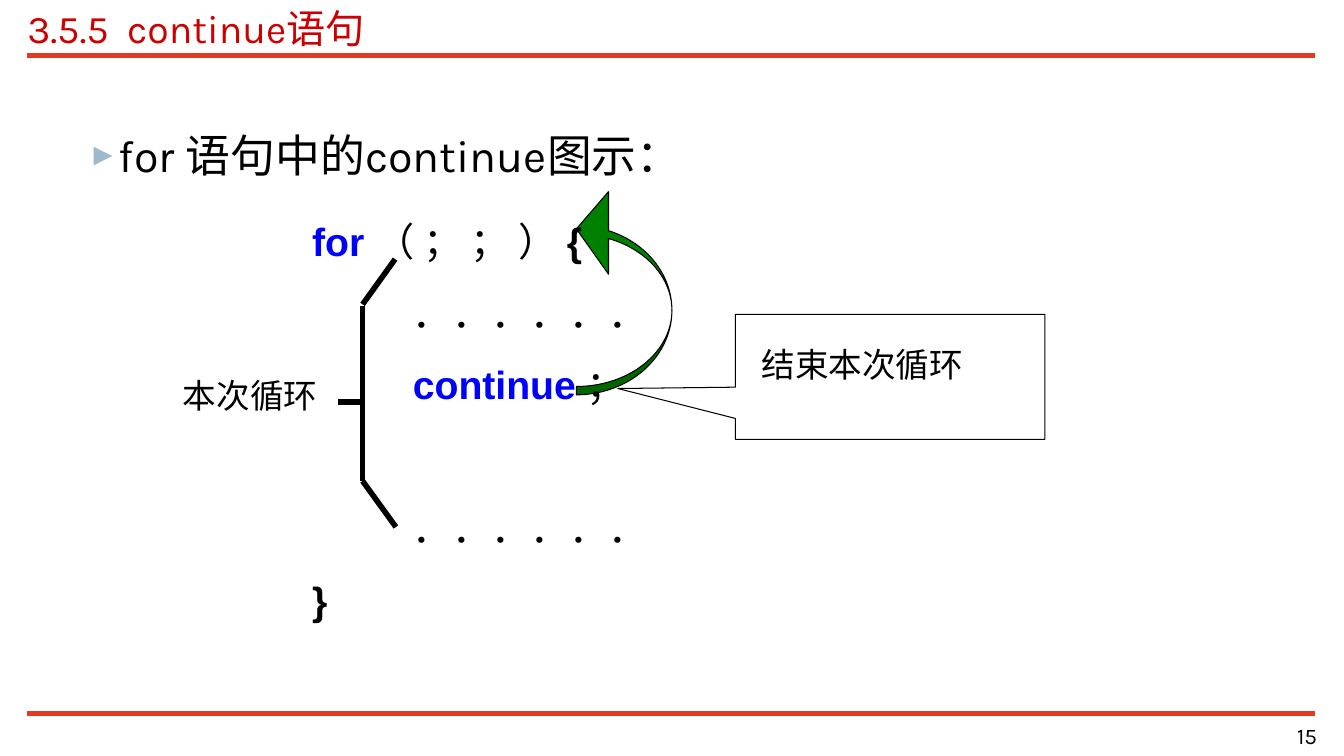
from math import acos, cos, sin, pi

from lxml import etree
from pptx import Presentation
from pptx.dml.color import RGBColor
from pptx.enum.shapes import MSO_CONNECTOR, MSO_SHAPE
from pptx.enum.text import MSO_ANCHOR, PP_ALIGN
from pptx.oxml.ns import qn
from pptx.util import Cm, Pt

STRAIGHT = MSO_CONNECTOR.STRAIGHT
CALLOUT = MSO_SHAPE.RECTANGULAR_CALLOUT
LEFT, RIGHT = PP_ALIGN.LEFT, PP_ALIGN.RIGHT
TOP, MIDDLE = MSO_ANCHOR.TOP, MSO_ANCHOR.MIDDLE

BLACK = RGBColor(0x00, 0x00, 0x00)
TITLE_RED = RGBColor(0xCC, 0x00, 0x00)
RULE_RED = RGBColor(0xE1, 0x3A, 0x23)
KEYWORD_BLUE = RGBColor(0x00, 0x00, 0xFF)
GREEN = RGBColor(0x00, 0x80, 0x00)
DARK_GREEN = RGBColor(0x00, 0x66, 0x00)

prs = Presentation()
prs.slide_width, prs.slide_height = Cm(33.88), Cm(19.05)
slide = prs.slides.add_slide(prs.slide_layouts[5])
shapes = slide.shapes


def write(paragraph, text, size=28, font="Arial", color=BLACK, bold=False, align=LEFT):
    paragraph.alignment = align
    run = paragraph.add_run()
    run.text = text
    run.font.size = Pt(size)
    run.font.name = font
    run.font.bold = bold
    run.font.color.rgb = color


def add_frame(left, top, width, height):
    frame = shapes.add_textbox(Cm(left), Cm(top), Cm(width), Cm(height)).text_frame
    frame.word_wrap = True
    return frame


# Title, topic and page number
title = shapes.title
title.left, title.top, title.width, title.height = Cm(0.69), Cm(0.1), Cm(32.46), Cm(1.19)
title.text_frame.vertical_anchor = MIDDLE
write(title.text_frame.paragraphs[0], "3.5.5  continue语句", font="Karla", color=TITLE_RED)

topic = add_frame(0.69, 3.1, 32.46, 1.8).paragraphs[0]
topic_format = topic._p.get_or_add_pPr()
topic_format.set("marL", str(Cm(2.06)))
topic_format.set("indent", str(Cm(-0.79)))
bullet_color = etree.SubElement(topic_format, qn("a:buClr"))
etree.SubElement(bullet_color, qn("a:srgbClr"), val="9FB8CC")
etree.SubElement(topic_format, qn("a:buSzPct"), val="70000")
etree.SubElement(topic_format, qn("a:buFont"), typeface="Arial")
etree.SubElement(topic_format, qn("a:buChar"), char="►")
write(topic, "for 语句中的continue图示：", size=32, font="Karla")

page_number = add_frame(26.39, 18.19, 6.81, 0.79)
for frame in (title.text_frame, page_number):
    frame.margin_left = frame.margin_right = frame.margin_top = frame.margin_bottom = 0
write(page_number.paragraphs[0], "15", size=16, font="Karla", align=RIGHT)

# Curved arrow from continue back to the loop head
CENTER_X, CENTER_Y = 14.53, 7.82
RADIUS_X, OUTER_Y, INNER_Y = 2.41, 2.13, 1.92
HEAD_X = 15.34
STEPS = 30


def arc(radius_y, end_angle):
    """Points from the right end of the ellipse to end_angle, clockwise if positive."""
    angles = [end_angle * step / STEPS for step in range(STEPS + 1)]
    return [(CENTER_X + RADIUS_X * cos(a), CENTER_Y + radius_y * sin(a)) for a in angles]


head_angle = -acos((HEAD_X - CENTER_X) / RADIUS_X)
arrow_head = [(HEAD_X, 4.83), (CENTER_X, 5.77), (HEAD_X, 6.91)]
upper_half = arc(OUTER_Y, head_angle) + arrow_head + arc(INNER_Y, head_angle)[::-1]
lower_half = arc(OUTER_Y, pi / 2) + arc(INNER_Y, pi / 2)[::-1]
for outline, color in ((upper_half, GREEN), (lower_half, DARK_GREEN)):
    points = [(Cm(x), Cm(y)) for x, y in outline]
    builder = shapes.build_freeform(*points[0])
    builder.add_line_segments(points[1:], close=True)
    half = builder.convert_to_shape()
    half.shadow.inherit = False
    half.fill.solid()
    half.fill.fore_color.rgb = color
    half.line.color.rgb = BLACK
    half.line.width = Pt(0.75)

# Callout
callout = shapes.add_shape(CALLOUT, Cm(18.54), Cm(7.92), Cm(7.8), Cm(3.15))
callout.adjustments[0], callout.adjustments[1] = -0.88, 0.094
callout.shadow.inherit = False
callout.fill.background()
callout.line.color.rgb = BLACK
callout.line.width = Pt(0.75)
callout.text_frame.word_wrap = True
callout.text_frame.vertical_anchor = TOP
callout.text_frame.margin_left, callout.text_frame.margin_top = Cm(0.66), Cm(0.74)
write(callout.text_frame.paragraphs[0], "结束本次循环", size=24)

# Code: indent in cm, space before in points, runs of text, colour and bold
DOTS = [("．．．．．．", BLACK, False)]
code_lines = [
    (0, 0, [("for ", KEYWORD_BLUE, True), ("（ ； ； ） ", BLACK, False), ("{", BLACK, True)]),
    (2.54, 17.5, DOTS),
    (2.54, 17.5, [("continue ", KEYWORD_BLUE, True), ("；", BLACK, False)]),
    (2.54, 69, DOTS),
    (0, 17.5, [("}", BLACK, True)]),
]
code = add_frame(7.62, 5.36, 12.52, 10.46)
for number, (indent, space, runs) in enumerate(code_lines):
    line = code.add_paragraph() if number else code.paragraphs[0]
    line._p.get_or_add_pPr().set("marL", str(Cm(indent)))
    line.space_before = Pt(space)
    for text, color, bold in runs:
        write(line, text, color=color, bold=bold)

loop_label = add_frame(3.53, 9.32, 4.72, 1.27)
write(loop_label.paragraphs[0], "本次循环", size=24, align=RIGHT)

# Slide rules and the bracket around the loop body
lines = [
    (0.69, 1.4, 33.15, 1.4, RULE_RED, 4),
    (0.69, 17.98, 33.15, 17.98, RULE_RED, 3),
    (9.96, 6.53, 9.14, 7.67, BLACK, 4),
    (9.14, 7.72, 9.14, 12.12, BLACK, 4),
    (9.14, 12.12, 9.98, 13.28, BLACK, 4),
    (9.09, 10.13, 8.53, 10.13, BLACK, 4),
]
for x1, y1, x2, y2, color, width in lines:
    stroke = shapes.add_connector(STRAIGHT, Cm(x1), Cm(y1), Cm(x2), Cm(y2))
    stroke.line.color.rgb = color
    stroke.line.width = Pt(width)
    etree.SubElement(stroke._element.spPr, qn("a:effectLst"))

prs.save("out.pptx")
